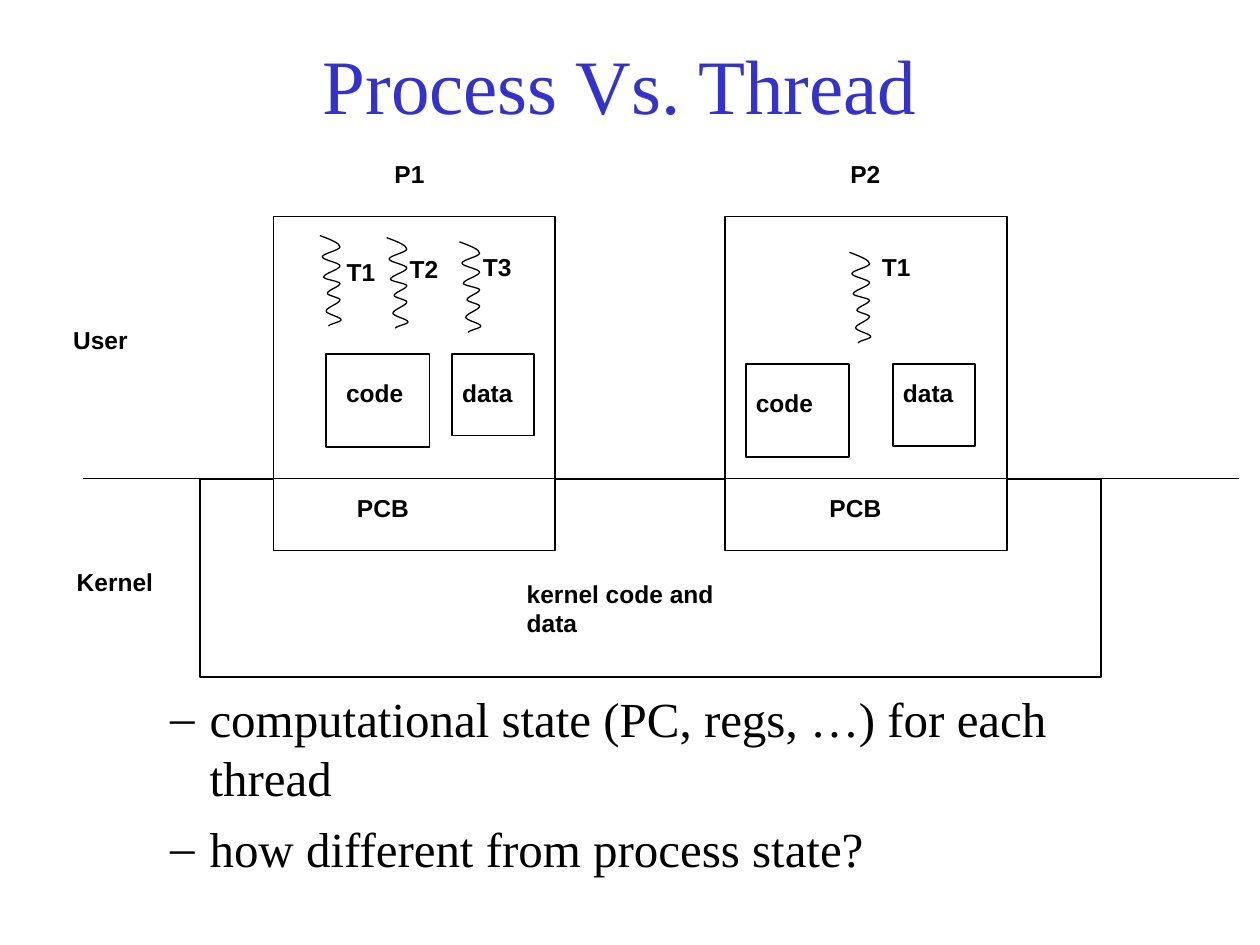
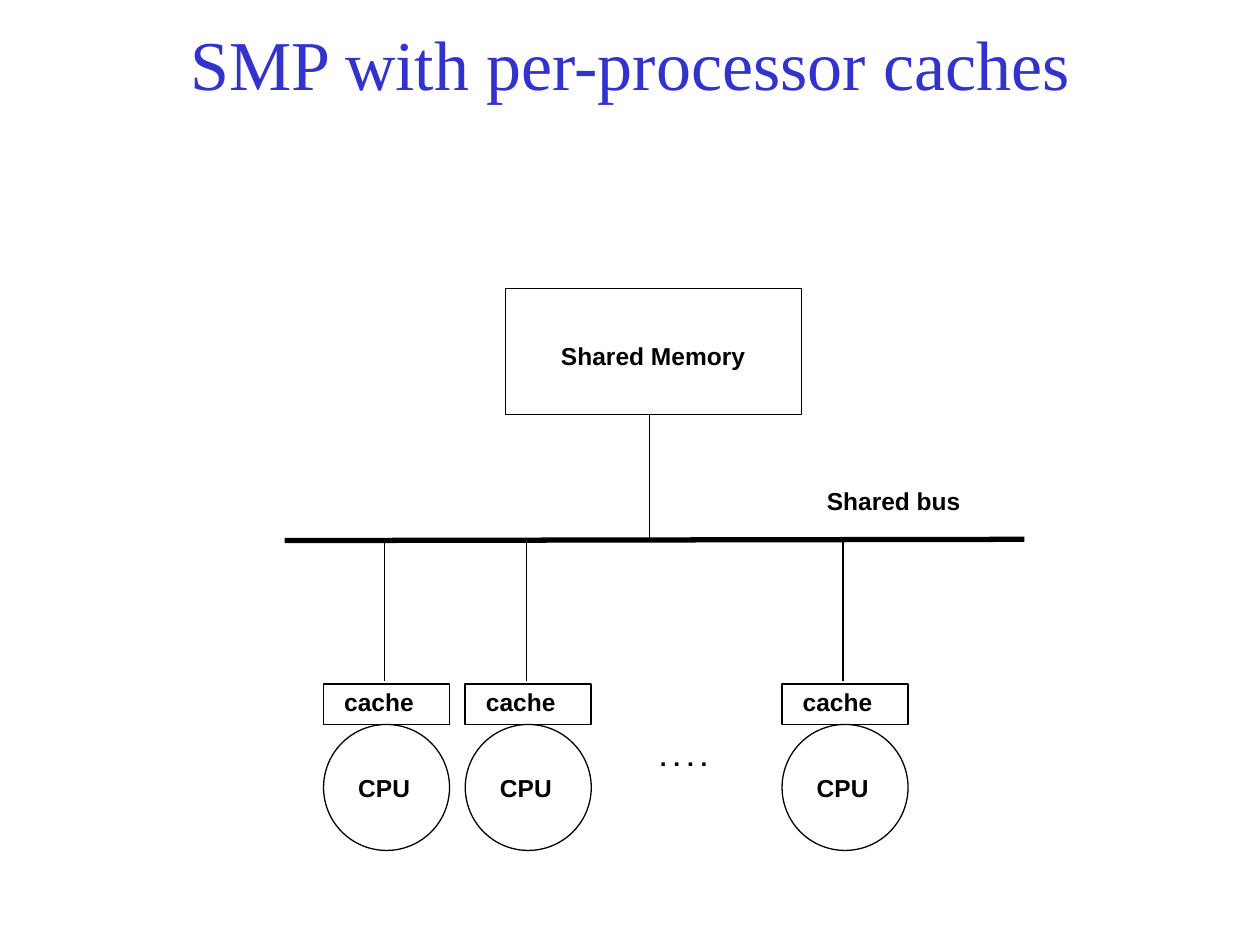
from dataclasses import dataclass

import lxml.etree
import pptx
import pptx.dml.color
import pptx.enum.shapes
import pptx.enum.text
import pptx.oxml.ns
import pptx.util

Pt = pptx.util.Pt
RGB = pptx.dml.color.RGBColor
SHAPE = pptx.enum.shapes.MSO_SHAPE
ALIGN = pptx.enum.text.PP_ALIGN
ANCHOR = pptx.enum.text.MSO_ANCHOR
AUTO = pptx.enum.text.MSO_AUTO_SIZE
qn = pptx.oxml.ns.qn


@dataclass(frozen=True)
class Theme:
    ink: RGB = RGB(0, 0, 0)
    paper: RGB = RGB(255, 255, 255)
    title: RGB = RGB(0x33, 0x33, 0xCC)
    serif: str = "Times New Roman"
    sans: str = "Arial"
    label_size: float = 14
    body_size: float = 28
    process_title_size: float = 44
    smp_title_size: float = 40
    thin: float = 0.75
    medium: float = 1
    thick: float = 3


THEME = Theme()
LABEL_H = 24
WAVE_TURNS = [(0, 0), (11.5, 6.5), (1.4, 12.2), (11.5, 17.3), (2.2, 23.8), (11.5, 27.4),
              (4.3, 33.1), (11.5, 36.7), (3.6, 43.2), (12.2, 48.2), (5, 51.8)]


def write(tf, *lines, size=THEME.label_size, font=THEME.sans, color=THEME.ink, bold=False,
          align=ALIGN.LEFT, bullet=None, hang=(0, 0), space_before=0):
    for i, line in enumerate(lines):
        p = tf.paragraphs[0] if i == 0 else tf.add_paragraph()
        p.alignment = align
        p.space_before = Pt(space_before if i else 0)
        if bullet:
            pPr = p._p.get_or_add_pPr()
            pPr.set("marL", str(Pt(hang[0])))
            pPr.set("indent", str(Pt(hang[1])))
            lxml.etree.SubElement(pPr, qn("a:buFont")).set("typeface", font)
            lxml.etree.SubElement(pPr, qn("a:buChar")).set("char", bullet)
        r = p.add_run()
        r.text = line
        r.font.size, r.font.name, r.font.bold = Pt(size), font, bold
        r.font.color.rgb = color


def add_text(s, box, *lines, wrap=True, **fmt):
    tf = s.shapes.add_textbox(*map(Pt, box)).text_frame
    tf.word_wrap = wrap
    write(tf, *lines, **fmt)
    return tf


def add_label(s, x, y, w, text, wrap=False):
    tf = add_text(s, (x, y, w, LABEL_H), text, wrap=wrap, bold=True)
    tf.auto_size = AUTO.SHAPE_TO_FIT_TEXT


def add_outline(s, kind, box, width=THEME.medium, fill=None):
    sp = s.shapes.add_shape(kind, *map(Pt, box))
    sp.shadow.inherit = False
    if fill is None:
        sp.fill.background()
    else:
        sp.fill.solid()
        sp.fill.fore_color.rgb = fill
    sp.line.color.rgb = THEME.ink
    sp.line.width = Pt(width)


def add_line(s, x1, y1, x2, y2, width=THEME.thin):
    line = s.shapes.add_connector(pptx.enum.shapes.MSO_CONNECTOR.STRAIGHT,
                                  Pt(x1), Pt(y1), Pt(x2), Pt(y2))
    line.line.color.rgb = THEME.ink
    line.line.width = Pt(width)
    lxml.etree.SubElement(line._element.spPr, qn("a:effectLst"))


def add_titled_slide(prs, text, box, size):
    s = prs.slides.add_slide(prs.slide_layouts[5])
    title = s.shapes.title
    title.left, title.top, title.width, title.height = map(Pt, box)
    tf = title.text_frame
    tf.auto_size = AUTO.NONE
    tf.vertical_anchor = ANCHOR.MIDDLE
    write(tf, text, size=size, font=THEME.serif, color=THEME.title, align=ALIGN.CENTER)
    return s


def curve_segments(sp):
    segments = list(sp._element.iter(qn("a:lnTo")))
    x1 = y1 = 0
    for i, segment in enumerate(segments):
        end = segment[0]
        x2, y2 = int(end.get("x")), int(end.get("y"))
        third = (y2 - y1) // 3
        lead = (x2 - x1) // 2 if i == 0 else 0
        segment.tag = qn("a:cubicBezTo")
        for k, (cx, cy) in enumerate([(x1 + lead, y1 + third), (x2, y2 - third)]):
            control = segment.makeelement(qn("a:pt"), {"x": str(cx), "y": str(cy)})
            segment.insert(k, control)
        x1, y1 = x2, y2


def draw_thread(s, x, y):
    builder = s.shapes.build_freeform(Pt(x), Pt(y))
    builder.add_line_segments([(Pt(x + dx), Pt(y + dy)) for dx, dy in WAVE_TURNS[1:]],
                              close=False)
    sp = builder.convert_to_shape()
    curve_segments(sp)
    sp.shadow.inherit = False
    sp.fill.background()
    sp.line.color.rgb = THEME.ink
    sp.line.width = Pt(THEME.thin)


def draw_process(s, box, name, name_dx, name_w, pcb_dx, segments, threads):
    x, y, w, h = box
    add_label(s, x + name_dx, y - 36.7, name_w, name)
    add_label(s, x + pcb_dx, y + 154.1, 48.2, "PCB")
    for text, dx, dy, seg_w, seg_h, text_dx, text_dy in segments:
        left, top = x + dx, y + dy
        add_outline(s, SHAPE.RECTANGLE, (left, top, seg_w, seg_h), fill=THEME.paper)
        add_label(s, left + text_dx, top + text_dy, 51.1 if text == "code" else 47.5, text)
    for i, (dx, dy, text_dx, text_dy) in enumerate(threads, 1):
        draw_thread(s, x + dx, y + dy)
        add_label(s, x + text_dx, y + text_dy, 34.6, f"T{i}")


def draw_address_spaces(s, box):
    x, y, w, h = box
    processes = [
        ((x + 121.9, y, 161, 190.8), "P1", 61.9, 35, 40.5,
         [("code", 30, 78.3, 59, 53.3, 4.3, 10.3),
          ("data", 102, 78.3, 46.8, 46.8, -1.4, 10.3)],
         [(26.4, 10.8, 34.6, 19.4), (64.6, 12, 70.6, 17.7), (106.2, 14.4, 112.4, 16.6)]),
        ((x + 379.9, y, 161, 190.8), "P2", 64.4, 31.7, 52.5,
         [("code", 12, 84.2, 59, 53.3, -1.6, 10.1),
          ("data", 95.9, 84.2, 46.8, 46.8, -1.4, 4.3)],
         [(71, 20.4, 82.4, 16.6)]),
    ]
    border = y + 149.6
    add_outline(s, SHAPE.RECTANGLE, (x + 80, border + 0.4, 514.8, h - 150.4), fill=THEME.paper)
    for frame, *_ in processes:
        add_outline(s, SHAPE.RECTANGLE, frame, fill=THEME.paper)
    add_line(s, x + 13.2, border, x + w, border, THEME.medium)
    add_label(s, x + 0.2, y + 58.4, 53.3, "User")
    add_label(s, x + 2.2, y + 196.6, 66.2, "Kernel")
    add_label(s, x + 259.4, y + 203.4, 149.8, "kernel code and data", wrap=True)
    for process in processes:
        draw_process(s, *process)


def draw_cpu(s, x, y):
    cache_y = y + 82.1
    cpu_y = cache_y + 23
    add_line(s, x + 34.9, y, x + 34.9, y + 80)
    add_outline(s, SHAPE.RECTANGLE, (x, cache_y, 72, 23))
    add_label(s, x + 4.7, cache_y - 2.2, 58.3, "cache")
    add_outline(s, SHAPE.OVAL, (x, cpu_y, 72, 72), THEME.thin)
    add_label(s, x + 12.7, cpu_y + 24.2, 51.8, "CPU")


def draw_smp(s, box):
    x, y, w, h = box
    bus_y = y + 144
    add_outline(s, SHAPE.RECTANGLE, (x + 126, y, 169.2, 72), THEME.thin)
    add_label(s, x + 150.8, y + 26.3, 127.4, "Shared Memory")
    add_line(s, x + 208.3, y + 72, x + 208.3, bus_y - 0.7)
    add_line(s, x, bus_y, x + w, bus_y - 0.7, THEME.thick)
    add_label(s, x + 302.7, y + 109.1, 98.6, "Shared bus")
    for dx in (22.2, 103.2, 284.2):
        draw_cpu(s, x + dx, bus_y)
    add_label(s, x + 207.3, y + 255.6, 45.4, ". . . .")


def build_process_slide(prs):
    s = add_titled_slide(prs, "Process Vs. Thread", (48.2, 18, 612, 60),
                         THEME.process_title_size)
    add_text(s, (54.2, 390, 612, 120),
             "computational state (PC, regs, …) for each thread",
             "how different from process state?",
             size=THEME.body_size, font=THEME.serif, bullet="–", hang=(58.5, -22.5),
             space_before=7)
    draw_address_spaces(s, (34.5, 123.8, 673.3, 263.5))


def build_smp_slide(prs):
    s = add_titled_slide(prs, "SMP with per-processor caches", (54, 12, 612, 48),
                         THEME.smp_title_size)
    draw_smp(s, (162.7, 164.9, 422.6, 321.1))


def main():
    prs = pptx.Presentation()
    prs.slide_width, prs.slide_height = Pt(720), Pt(540)
    build_process_slide(prs)
    build_smp_slide(prs)
    prs.save("out.pptx")


if __name__ == "__main__":
    main()
